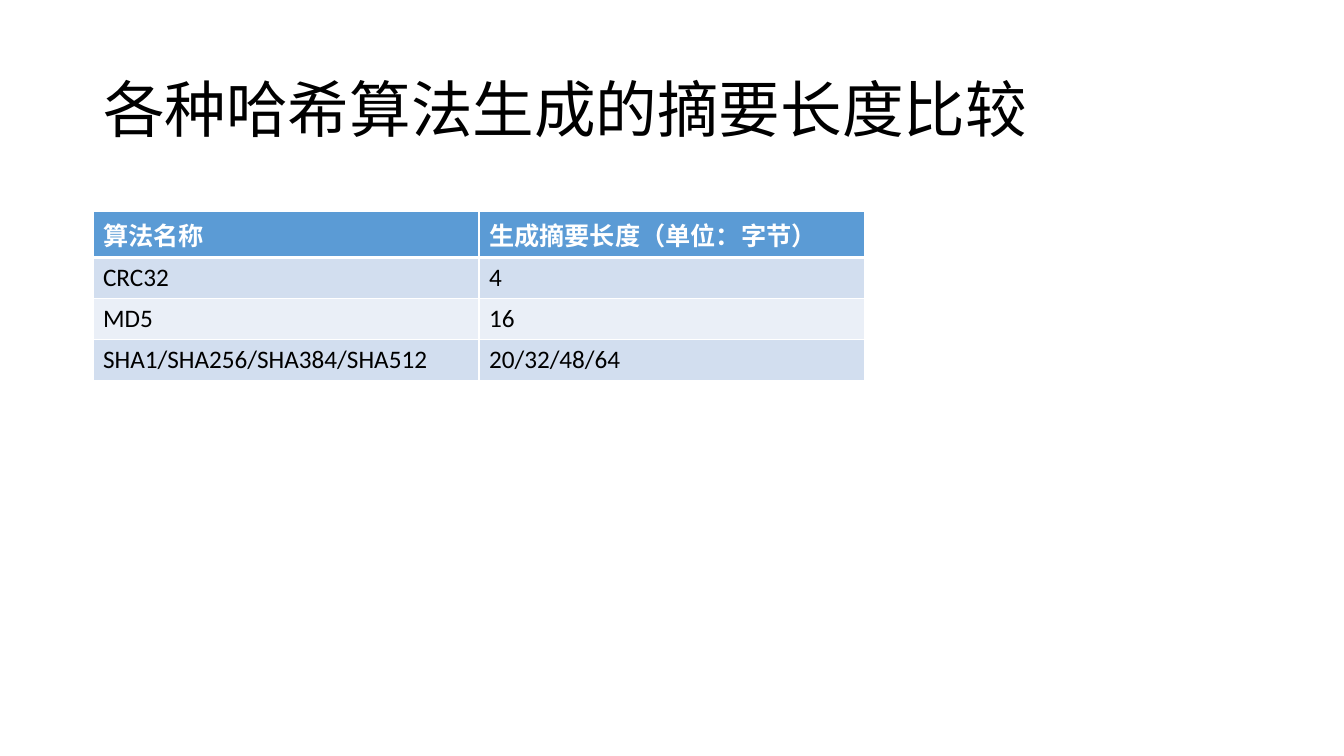
from pptx import Presentation
from pptx.dml.color import RGBColor
from pptx.enum.text import MSO_ANCHOR
from pptx.oxml import parse_xml
from pptx.oxml.ns import nsdecls
from pptx.util import Pt

# Content
TITLE = "各种哈希算法生成的摘要长度比较"
ROWS = [
    ("算法名称", "生成摘要长度（单位：字节）"),
    ("CRC32", "4"),
    ("MD5", "16"),
    ("SHA1/SHA256/SHA384/SHA512", "20/32/48/64"),
]

# Style and layout, lengths in px
COLORS = {"text": "000000", "white": "FFFFFF", "header": "5B9BD5",
          "odd": "D2DEEF", "even": "EAEFF7"}
FONT = "Calibri"
EMU_PER_PX = 914400 / 100.8
SLIDE_SIZE = (1344, 756)
TITLE_BOX = (93, 40, 1159, 146)
TABLE_LEFT, TABLE_TOP = 93, 211
COLUMN_WIDTH = 386
HEADER_HEIGHT, ROW_HEIGHT = 44, 41


def px(length):
    return round(length * EMU_PER_PX)


def style_font(font, size, color, bold=False):
    font.name = FONT
    font.size = Pt(size)
    font.bold = bold
    font.color.rgb = RGBColor.from_string(COLORS[color])


def add_borders(cell, widths):
    """Put white borders before the cell's fill, as the schema requires."""
    properties = cell._tc.get_or_add_tcPr()
    for index, (side, width) in enumerate(widths.items()):
        properties.insert(index, parse_xml(
            f'<a:{side} {nsdecls("a")} w="{Pt(width)}"><a:solidFill>'
            f'<a:srgbClr val="{COLORS["white"]}"/></a:solidFill></a:{side}>'))


def add_title(slide):
    title = slide.shapes.title
    title.left, title.top, title.width, title.height = map(px, TITLE_BOX)
    frame = title.text_frame
    frame.text = TITLE
    frame.vertical_anchor = MSO_ANCHOR.MIDDLE
    paragraph = frame.paragraphs[0]
    paragraph.alignment = 1  # left
    paragraph.line_spacing = 0.9
    style_font(paragraph.font, 44, "text")


def add_digest_table(slide):
    column_count = len(ROWS[0])
    heights = [HEADER_HEIGHT] + [ROW_HEIGHT] * (len(ROWS) - 1)
    table = slide.shapes.add_table(
        len(ROWS), column_count, px(TABLE_LEFT), px(TABLE_TOP),
        px(COLUMN_WIDTH * column_count), px(sum(heights))).table
    for column in table.columns:
        column.width = px(COLUMN_WIDTH)

    for row_index, texts in enumerate(ROWS):
        table.rows[row_index].height = px(heights[row_index])
        is_header = row_index == 0
        fill = "header" if is_header else ("even", "odd")[row_index % 2]
        for column_index, text in enumerate(texts):
            cell = table.cell(row_index, column_index)
            cell.text = text
            cell.fill.solid()
            cell.fill.fore_color.rgb = RGBColor.from_string(COLORS[fill])
            style_font(cell.text_frame.paragraphs[0].font, 18,
                       "white" if is_header else "text", is_header)
            add_borders(cell, {"lnL": 1, "lnR": 1,
                               "lnT": 3 if row_index == 1 else 1,
                               "lnB": 3 if is_header else 1})


def main():
    presentation = Presentation()
    presentation.slide_width, presentation.slide_height = map(px, SLIDE_SIZE)
    slide = presentation.slides.add_slide(presentation.slide_layouts[5])
    add_title(slide)
    add_digest_table(slide)
    presentation.save("out.pptx")


if __name__ == "__main__":
    main()
